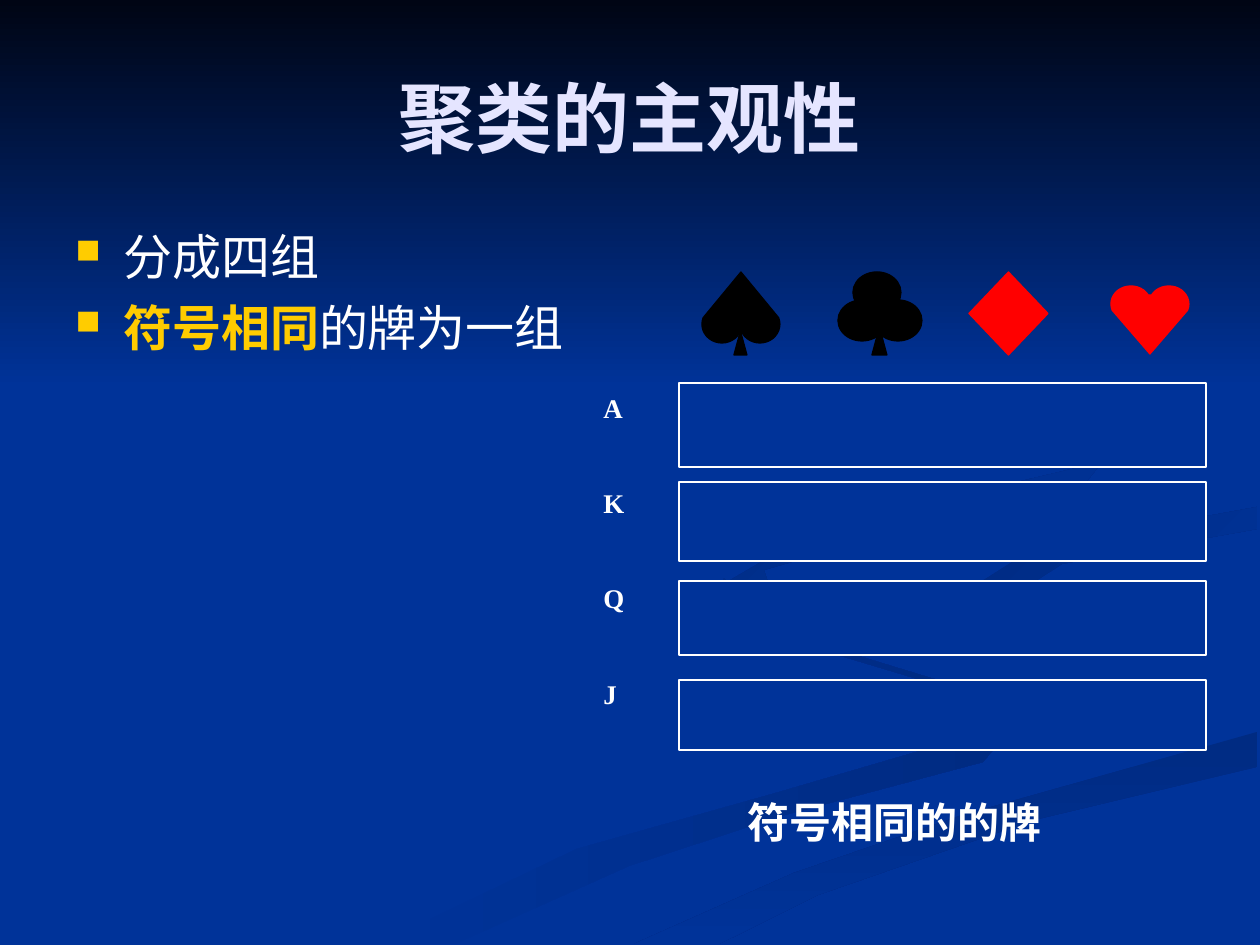
from math import cos, radians, sin

from lxml.etree import SubElement
from pptx import Presentation
from pptx.dml.color import RGBColor
from pptx.enum.lang import MSO_LANGUAGE_ID as LANG
from pptx.enum.shapes import MSO_SHAPE as SHAPE
from pptx.enum.text import MSO_ANCHOR as ANCHOR, MSO_AUTO_SIZE as AUTOSIZE, PP_ALIGN as ALIGN
from pptx.oxml.ns import qn
from pptx.util import Pt

PX = 914400 // 126  # EMU per px
WIDTH, HEIGHT = 1260, 945


class THEME:
    blue, night, white, title = "003399", "000514", "FFFFFF", "E5E5FF"
    shade = "002B82"
    gold, black, red = "FFCC00", "000000", "FF0000"
    serif, sans = "Times New Roman", "Arial"
    title_pt, body_pt, caption_pt, rank_pt, line_pt = 44, 28, 24, 15.4, 0.75


TITLE = "聚类的主观性"
BULLETS = [
    [("分成四组", THEME.white, False)],
    [("符号相同", THEME.gold, True), ("的牌为一组", THEME.white, False)],
]
RANKS = "AKQJ"
FRAME_HEIGHTS = [84, 79, 74, 70]
CAPTION = "符号相同的的牌"

# Background ribbons: first colour, last colour, clockwise angle, outline
RIBBONS = [
    (THEME.blue, THEME.shade, 0, [
        (724, 578), (770, 629), (934, 679), (990, 701), (1008, 732), (983, 762),
        (785, 815), (629, 866), (455, 944), (378, 944), (577, 849), (776, 793),
        (975, 735), (978, 697), (774, 636), (718, 600)]),
    (THEME.shade, THEME.blue, 90, [
        (634, 944), (794, 873), (963, 815), (1257, 732), (1257, 767), (1034, 820),
        (818, 895), (719, 944)]),
    (THEME.shade, THEME.blue, 45, [
        (984, 580), (1036, 547), (1257, 507), (1257, 529), (1062, 564), (1014, 595),
        (1041, 625)]),
    (THEME.shade, THEME.blue, 45, [
        (960, 294), (1089, 367), (1126, 433), (1077, 493), (861, 542), (764, 570),
        (784, 630), (727, 582), (818, 529), (1085, 466), (1120, 422), (1066, 352)]),
]
NIGHT_SKY = (THEME.night, THEME.blue, 90, [(0, 0), (0, 388), (WIDTH, 388), (WIDTH, 0)])

HEART_HEIGHT = 68
LOBE_X, LOBE_Y, LOBE_RX, LOBE_RY = 19, 18, 20, 18
LOBE_ANGLES = range(30, 201, 10)
CLUB_LEAVES = [(853, 272), (874, 300), (838, 300)]


def rgb(colour):
    return RGBColor.from_string(colour)


def emu(*lengths):
    return [round(length * PX) for length in lengths]


def paint(shape, fill, line=None):
    shape.shadow.inherit = False
    shape.fill.solid()
    shape.fill.fore_color.rgb = rgb(fill)
    if line:
        shape.line.color.rgb = rgb(line)
        shape.line.width = Pt(THEME.line_pt)
    else:
        shape.line.fill.background()


def add_outline(shapes, points):
    start, *rest = [tuple(emu(*point)) for point in points]
    builder = shapes.build_freeform(*start)
    builder.add_line_segments(rest, close=True)
    return builder.convert_to_shape()


def add_ribbon(shapes, first, last, angle, points):
    ribbon = add_outline(shapes, points)
    paint(ribbon, first)
    ribbon.fill.gradient()
    ribbon.fill.gradient_angle = (360 - angle) % 360
    for stop, colour in zip(ribbon.fill.gradient_stops, (first, last)):
        stop.color.rgb = rgb(colour)


def add_preset(shapes, kind, box, fill, line):
    paint(shapes.add_shape(kind, *emu(*box)), fill, line)


def add_heart(shapes, centre, top, height, colour, upside_down=False):
    """Two mirrored elliptic lobes that run straight to one tip."""
    left_lobe = [(LOBE_RX * cos(radians(angle)) - LOBE_X,
                  LOBE_Y - LOBE_RY * sin(radians(angle))) for angle in LOBE_ANGLES]
    right_lobe = [(-x, y) for x, y in reversed(left_lobe)]
    placed = []
    for x, y in left_lobe + [(0, HEART_HEIGHT)] + right_lobe:
        drop = y * height / HEART_HEIGHT
        placed.append((centre + x, top + (height - drop if upside_down else drop)))
    paint(add_outline(shapes, placed), colour, colour)


def add_run(paragraph, text, colour, size, bold=False, face=THEME.serif):
    run = paragraph.add_run()
    run.text = text
    font = run.font
    font.name, font.size, font.bold = face, Pt(size), bold
    font.color.rgb = rgb(colour)
    font.language_id = LANG.SIMPLIFIED_CHINESE


def add_text_frame(shapes, *box):
    frame = shapes.add_textbox(*emu(*box)).text_frame
    frame.word_wrap = True
    return frame


def add_bullet(paragraph):
    properties = paragraph._p.get_or_add_pPr()
    indent = 48 * PX
    properties.set("marL", str(indent))
    properties.set("indent", str(-indent))
    SubElement(SubElement(properties, qn("a:buClr")), qn("a:srgbClr"), val=THEME.gold)
    SubElement(properties, qn("a:buSzPct"), val="70000")
    SubElement(properties, qn("a:buChar"), char="■")


def main():
    deck = Presentation()
    deck.slide_width, deck.slide_height = emu(WIDTH, HEIGHT)
    slide = deck.slides.add_slide(deck.slide_layouts[5])
    shapes = slide.shapes
    slide.background.fill.solid()
    slide.background.fill.fore_color.rgb = rgb(THEME.blue)

    for ribbon in RIBBONS + [NIGHT_SKY]:
        add_ribbon(shapes, *ribbon)

    title = shapes.title
    title.element.getparent().append(title.element)  # bring in front of the ribbons
    title.left, title.top, title.width, title.height = emu(63, 38, 1134, 157)
    title.text_frame.auto_size = AUTOSIZE.NONE
    title.text_frame.vertical_anchor = ANCHOR.MIDDLE
    heading = title.text_frame.paragraphs[0]
    heading.alignment = ALIGN.CENTER
    add_run(heading, TITLE, THEME.title, THEME.title_pt, True)

    body = add_text_frame(shapes, 63, 220, 557, 624)
    for index, runs in enumerate(BULLETS):
        point = body.add_paragraph() if index else body.paragraphs[0]
        add_bullet(point)
        point.space_before = Pt(7 if index else 0)
        for text, colour, bold in runs:
            add_run(point, text, colour, THEME.body_pt, bold)

    add_heart(shapes, 741, 272, 71, THEME.black, upside_down=True)
    add_preset(shapes, SHAPE.FLOWCHART_EXTRACT, (734, 331, 13, 24), THEME.black, THEME.black)
    for left, top in CLUB_LEAVES:
        add_preset(shapes, SHAPE.OVAL, (left, top, 48, 41), THEME.black, THEME.black)
    add_preset(shapes, SHAPE.FLOWCHART_EXTRACT, (872, 327, 15, 28), THEME.black, THEME.black)
    add_preset(shapes, SHAPE.FLOWCHART_DECISION, (969, 272, 79, 83), THEME.red, THEME.red)
    add_heart(shapes, 1150, 286, HEART_HEIGHT, THEME.red)

    for row, (rank, height) in enumerate(zip(RANKS, FRAME_HEIGHTS)):
        add_preset(shapes, SHAPE.RECTANGLE, (679, 383 + 99 * row, 527, height),
                   THEME.blue, THEME.white)
        label = add_text_frame(shapes, 591, 354 + 95.3 * row, 94, 68).paragraphs[0]
        label.alignment = ALIGN.JUSTIFY
        label.line_spacing = 1.96
        add_run(label, rank, THEME.white, THEME.rank_pt, True)

    caption = add_text_frame(shapes, 530, 790, 730, 63).paragraphs[0]
    caption.alignment = ALIGN.CENTER
    add_run(caption, CAPTION, THEME.white, THEME.caption_pt, True, THEME.sans)

    deck.save("out.pptx")


if __name__ == "__main__":
    main()
